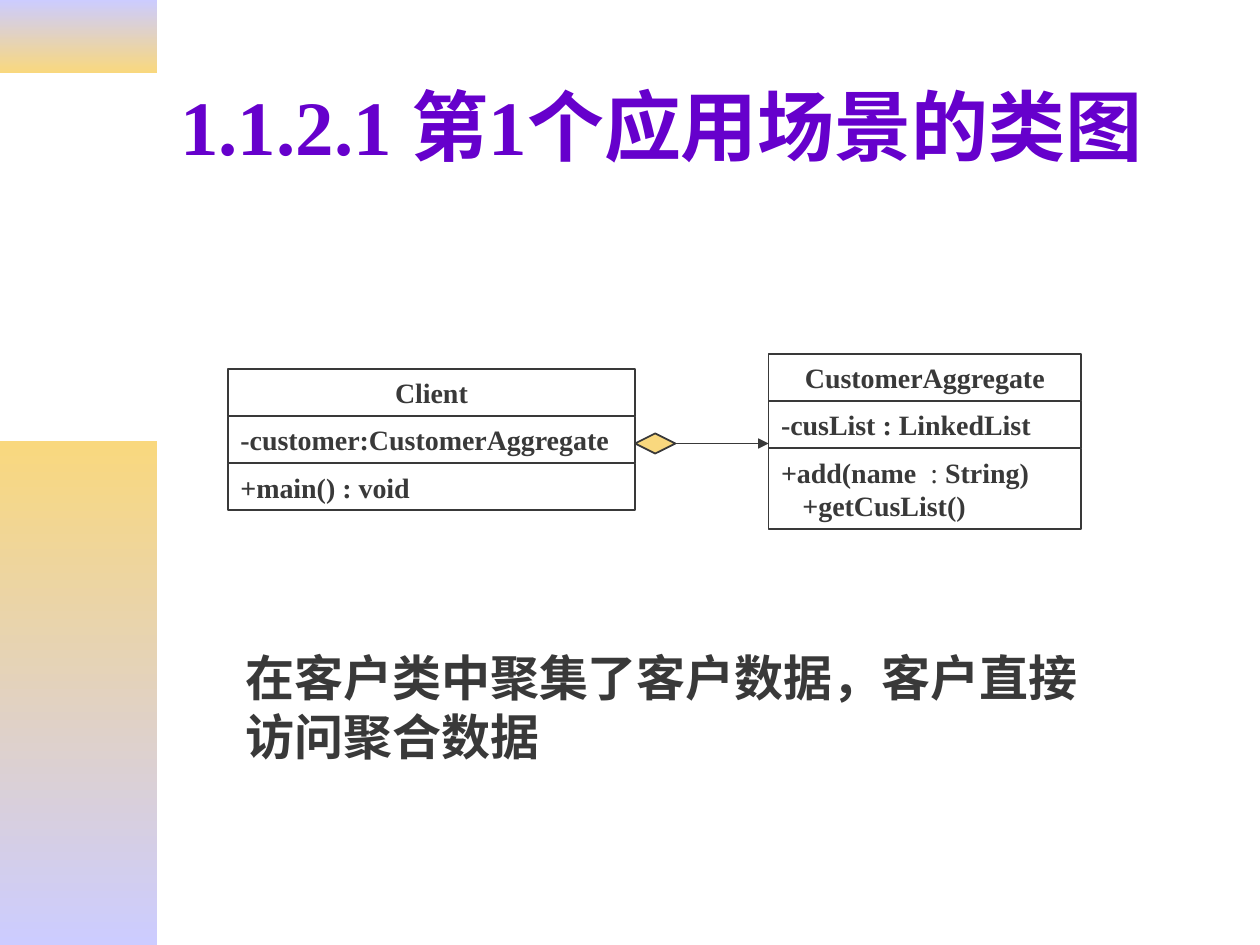
from dataclasses import dataclass
from typing import Any

from lxml import etree
from pptx import Presentation
from pptx import util as u
from pptx.dml.color import RGBColor
from pptx.enum import shapes, text
from pptx.oxml.ns import qn

INK = RGBColor(0x39, 0x39, 0x39)
GOLD = RGBColor(0xF9, 0xD8, 0x7E)
LILAC = RGBColor(0xCC, 0xCC, 0xFF)
VIOLET = RGBColor(0x66, 0x00, 0xCC)
FACE = "Times New Roman"
COLS, ROWS = 40, 30
WIDE, HIGH = u.Inches(10), u.Inches(7.5)
STEP, SHORT, TALL = 1.5, 1.48, 2.56
LEFT, MID = text.PP_ALIGN.LEFT, text.PP_ALIGN.CENTER


@dataclass
class Box:
    col: float
    row: float
    wide: float
    high: float

    def place(self) -> tuple[int, int, int, int]:
        x, y = WIDE / COLS, HIGH / ROWS
        return (round(self.col * x), round(self.row * y),
                round(self.wide * x), round(self.high * y))


@dataclass
class Run:
    words: str
    bold: bool = True


@dataclass
class Line:
    runs: list[Run]
    inset: float = 0


@dataclass
class Cell:
    lines: list[Line]
    high: float = SHORT
    align: Any = LEFT


@dataclass
class Class:
    col: float
    row: float
    wide: float
    cells: list[Cell]


def apply(item: Any, **form: Any) -> None:
    for key, value in form.items():
        setattr(item, key, value)


def write(item: Any, lines: list[Line], size: float, color: RGBColor,
          align: Any = LEFT, anchor: Any = text.MSO_ANCHOR.MIDDLE) -> None:
    frame = item.text_frame
    apply(frame, word_wrap=True, auto_size=text.MSO_AUTO_SIZE.NONE,
          vertical_anchor=anchor)
    for i, line in enumerate(lines):
        para = frame.add_paragraph() if i else frame.paragraphs[0]
        para.alignment = align
        if line.inset:
            para._p.get_or_add_pPr().set("marL", str(u.Inches(line.inset)))
        for piece in line.runs:
            run = para.add_run()
            run.text = piece.words
            apply(run.font, name=FACE, size=u.Pt(size), bold=piece.bold)
            run.font.color.rgb = color


def shape(slide: Any, kind: Any, box: Box) -> Any:
    item = slide.shapes.add_shape(kind, *box.place())
    item.shadow.inherit = False
    return item


def edge(item: Any) -> None:
    item.line.color.rgb = INK
    item.line.width = u.Pt(1)


def band(slide: Any, box: Box, top: RGBColor, base: RGBColor) -> None:
    item = shape(slide, shapes.MSO_SHAPE.RECTANGLE, box)
    item.line.fill.background()
    item.fill.gradient()
    item.fill.gradient_angle = 270
    for stop, color, spot in zip(item.fill.gradient_stops, (top, base), (0, 1)):
        stop.color.rgb = color
        stop.position = spot


def draw(slide: Any, model: Class) -> None:
    for i, cell in enumerate(model.cells):
        box = Box(model.col, model.row + i * STEP, model.wide, cell.high)
        item = shape(slide, shapes.MSO_SHAPE.RECTANGLE, box)
        item.fill.background()
        edge(item)
        write(item, cell.lines, 16, INK, cell.align)


def join(slide: Any, start: float, end: float, row: float) -> None:
    wide, high = 1.28, 0.64
    gem = shape(slide, shapes.MSO_SHAPE.FLOWCHART_DECISION,
                Box(start, row - high / 2, wide, high))
    gem.fill.solid()
    gem.fill.fore_color.rgb = GOLD
    edge(gem)
    x, y, span, _ = Box(start + wide, row, end - start - wide, 0).place()
    wire = slide.shapes.add_connector(
        shapes.MSO_CONNECTOR.STRAIGHT, x, y, x + span, y)
    edge(wire)
    etree.SubElement(wire.line._get_or_add_ln(), qn("a:tailEnd"), type="triangle")
    etree.SubElement(wire._element.spPr, qn("a:effectLst"))


def plain(words: str, inset: float = 0) -> Line:
    return Line([Run(words)], inset)


CLIENT = Class(7.24, 11.72, 12.92, [
    Cell([plain("Client")], align=MID),
    Cell([plain("-customer:CustomerAggregate")]),
    Cell([plain("+main() : void")]),
])
STORE = Class(24.4, 11.24, 9.92, [
    Cell([plain("CustomerAggregate")], align=MID),
    Cell([plain("-cusList : LinkedList")]),
    Cell([Line([Run("+add(name"), Run("  : ", False), Run("String)")]),
          plain("+getCusList()", 0.17)], TALL),
])


def main() -> None:
    deck = Presentation()
    apply(deck, slide_width=WIDE, slide_height=HIGH)
    slide = deck.slides.add_slide(deck.slide_layouts[5])
    band(slide, Box(0, 0, 5, 2.32), LILAC, GOLD)
    band(slide, Box(0, 14, 5, 16), GOLD, LILAC)

    title = slide.shapes.title
    spot = zip(("left", "top", "width", "height"),
               Box(5.32, 1.32, 34, 5.28).place())
    apply(title, **dict(spot))
    write(title, [plain("1.1.2.1 第1个应用场景的类图")], 44, VIOLET)

    for model in (CLIENT, STORE):
        draw(slide, model)
    join(slide, CLIENT.col + CLIENT.wide, STORE.col, 14.08)

    note = slide.shapes.add_textbox(*Box(7.4, 20.36, 27.72, 4.16).place())
    write(note, [plain("在客户类中聚集了客户数据，客户直接访问聚合数据")],
          28, INK, anchor=text.MSO_ANCHOR.TOP)
    deck.save("out.pptx")


if __name__ == "__main__":
    main()
